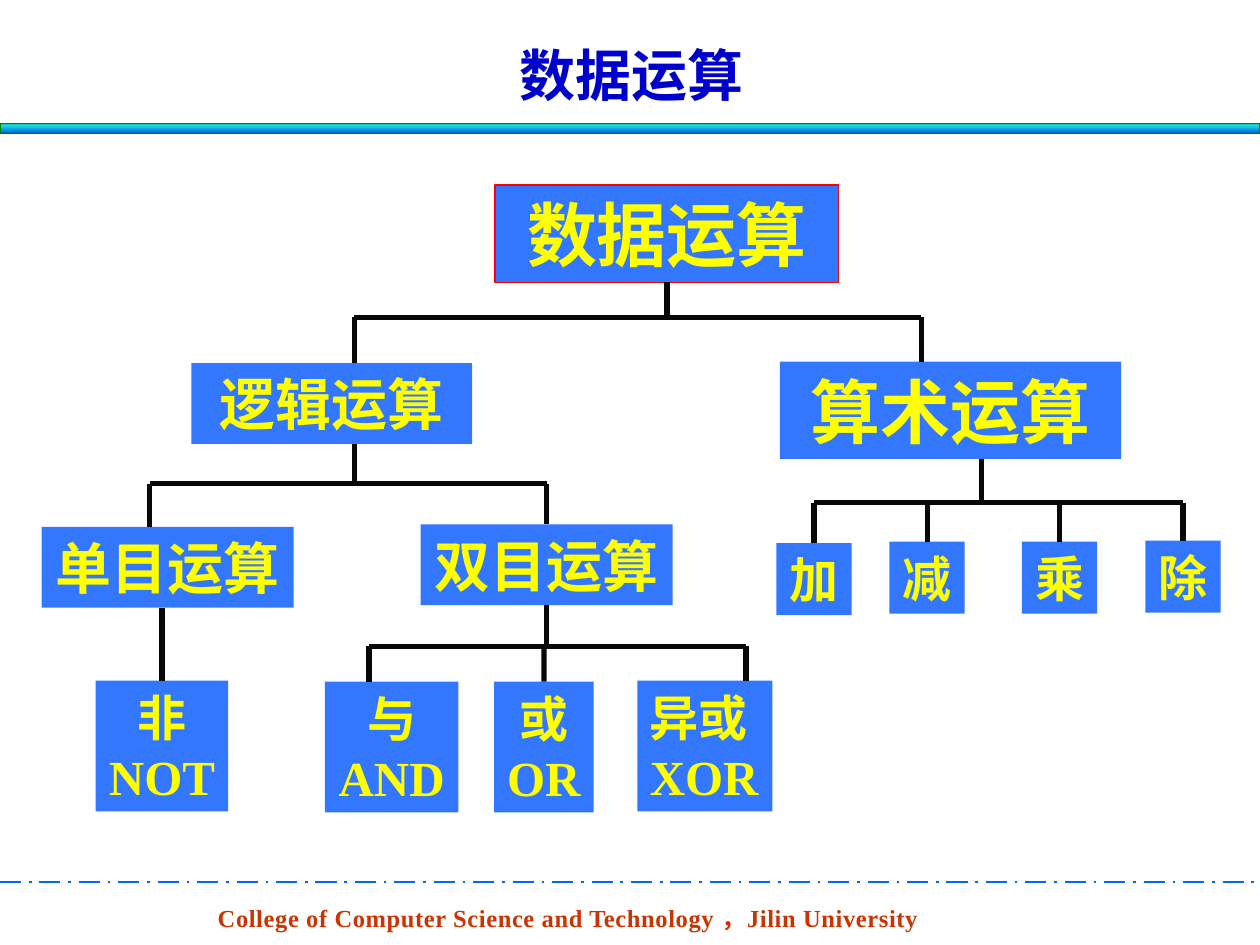
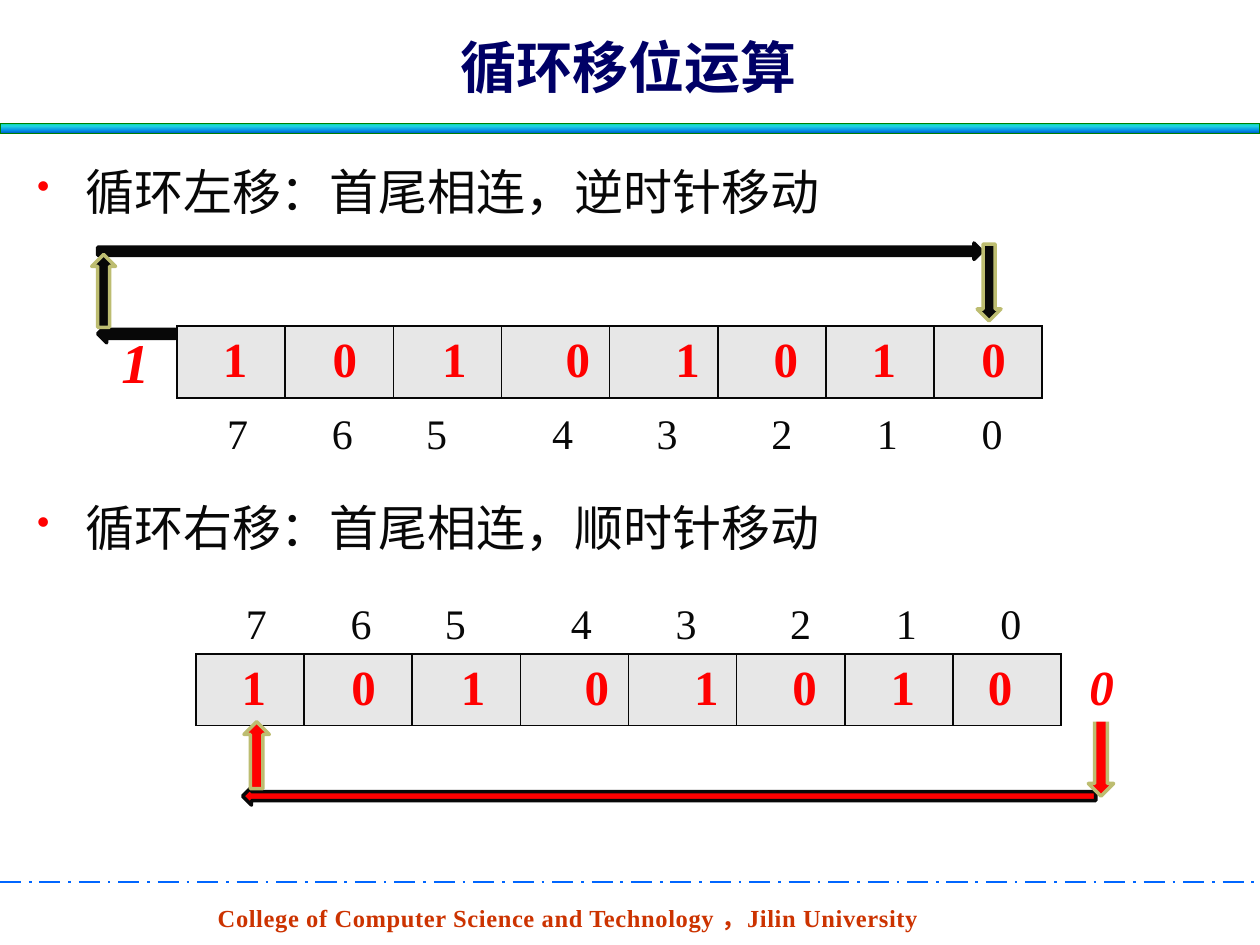
from collections import namedtuple
from dataclasses import dataclass

from lxml import etree
from pptx import Presentation
from pptx.dml.color import RGBColor
from pptx.enum.dml import MSO_LINE
from pptx.enum.shapes import MSO_CONNECTOR, MSO_SHAPE
from pptx.enum.text import MSO_ANCHOR, MSO_AUTO_SIZE, PP_ALIGN
from pptx.oxml.ns import qn
from pptx.util import Cm, Pt

LEFT, CENTER = PP_ALIGN.LEFT, PP_ALIGN.CENTER
TOP, MIDDLE = MSO_ANCHOR.TOP, MSO_ANCHOR.MIDDLE
RECT = MSO_SHAPE.RECTANGLE
ARROW_UP, ARROW_DOWN = MSO_SHAPE.UP_ARROW, MSO_SHAPE.DOWN_ARROW
ARROW_LEFT, ARROW_RIGHT = MSO_SHAPE.LEFT_ARROW, MSO_SHAPE.RIGHT_ARROW
STRAIGHT = MSO_CONNECTOR.STRAIGHT
DASH_DOT = MSO_LINE.LONG_DASH_DOT
SIDE_TOP, SIDE_BOTTOM = 0, 2
TITLE_ONLY = 5

Box = namedtuple("Box", "left top width height")
Node = namedtuple("Node", "shape box")


@dataclass(frozen=True)
class Theme:
    serif: str = "Times New Roman"
    sans: str = "Arial"
    cjk: str = "Noto Sans CJK SC"
    white: str = "FFFFFF"
    ink: str = "080808"
    red: str = "FF0000"
    yellow: str = "FFFF00"
    node: str = "3477FF"
    tree_title: str = "0000CC"
    shift_title: str = "000066"
    footer: str = "CC3300"
    rule: str = "0066FF"
    band_line: str = "008000"
    band_stops: tuple = ((0, "03D4A8"), (25, "21D6E0"), (75, "0087E6"), (100, "005CBF"))
    cell: str = "E7E7E7"
    cell_line: str = "060606"
    olive: str = "BDBD71"
    root_size: int = 40
    title_size: int = 32
    body_size: int = 28
    index_size: int = 24
    footer_size: int = 14


T = Theme()


def rgb(value):
    return RGBColor.from_string(value)


def within(box, left, top, width, height):
    return Box(box.left + left, box.top + top, width, height)


def place(box):
    return [Cm(v) for v in box]


def sub(parent, tag, **attrs):
    return etree.SubElement(parent, qn(tag), {k: str(v) for k, v in attrs.items()})


def write(tf, text, size=T.body_size, color=T.ink, font=T.serif, bold=False, italic=False,
          align=LEFT, anchor=TOP, wrap=True, line_spacing=None, tracking=None,
          bullet=None, tabs=()):
    tf.auto_size = MSO_AUTO_SIZE.NONE
    tf.word_wrap = wrap
    tf.vertical_anchor = anchor
    tf.margin_left = tf.margin_right = Cm(0.25)
    tf.margin_top = tf.margin_bottom = Cm(0.13)
    for i, line in enumerate(text.split("\n")):
        p = tf.add_paragraph() if i else tf.paragraphs[0]
        p.alignment = align
        pPr = p._p.get_or_add_pPr()
        if bullet:
            pPr.set("marL", str(Cm(0.97)))
            pPr.set("indent", str(Cm(-0.97)))
            sub(sub(pPr, "a:buClr"), "a:srgbClr", val=T.red)
            sub(pPr, "a:buSzPct", val=75000)
            sub(pPr, "a:buChar", char=bullet)
        if tabs:
            stops = sub(pPr, "a:tabLst")
            for stop in tabs:
                sub(stops, "a:tab", pos=Cm(stop), algn="ctr")
        if line_spacing:
            p.line_spacing = line_spacing
        r = p.add_run()
        r.text = line
        r.font.name = font
        r.font.size = Pt(size)
        r.font.bold = bold
        r.font.italic = italic
        r.font.color.rgb = rgb(color)
        rPr = r._r.get_or_add_rPr()
        sub(rPr, "a:ea", typeface=T.cjk)
        if tracking:
            rPr.set("spc", str(tracking))


def add_text(s, box, text, fill=None, **fmt):
    sp = s.shapes.add_textbox(*place(box))
    if fill:
        sp.fill.solid()
        sp.fill.fore_color.rgb = rgb(fill)
    write(sp.text_frame, text, **fmt)


def add_block(s, kind, box, fill, line=None, weight=2):
    sp = s.shapes.add_shape(kind, *place(box))
    sp.shadow.inherit = False
    sp.fill.solid()
    sp.fill.fore_color.rgb = rgb(fill)
    if line:
        sp.line.color.rgb = rgb(line)
        sp.line.width = Pt(weight)
    else:
        sp.line.fill.background()
    return sp


def add_line(s, x1, y1, x2, y2, color=T.ink, weight=3):
    c = s.shapes.add_connector(STRAIGHT, Cm(x1), Cm(y1), Cm(x2), Cm(y2))
    c.line.color.rgb = rgb(color)
    c.line.width = Pt(weight)
    sub(c._element.spPr, "a:effectLst")
    return c


def add_band(s, box):
    sp = add_block(s, RECT, box, T.node, T.band_line, 0.75)
    sp.fill.gradient()
    sp.fill.gradient_angle = 270
    stops = sp._element.spPr.find(".//" + qn("a:gsLst"))
    for stop in list(stops):
        stops.remove(stop)
    for pos, color in T.band_stops:
        sub(sub(stops, "a:gs", pos=pos * 1000), "a:srgbClr", val=color)


def add_base(prs, title, box, color, font):
    s = prs.slides.add_slide(prs.slide_layouts[TITLE_ONLY])
    add_text(s, Box(4.14, 18.08, 15.04, 0.84),
             "College of Computer Science and Technology ，Jilin University",
             size=T.footer_size, color=T.footer, bold=True, tracking=35)
    rule = add_line(s, 0, 17.78, 25.4, 17.78, T.rule, 1.5)
    rule.line.dash_style = DASH_DOT
    add_band(s, Box(0, 2.49, 25.4, 0.2))
    sp = s.shapes.title
    sp.left, sp.top, sp.width, sp.height = place(box)
    write(sp.text_frame, title, size=T.title_size, color=color, font=font,
          bold=True, align=CENTER, anchor=MIDDLE)
    return s


def add_node(s, box, text, size=T.body_size, line=None, align=CENTER):
    sp = add_block(s, RECT, box, T.node, line, 0.75)
    write(sp.text_frame, text, size=size, color=T.yellow, bold=True,
          align=align, anchor=MIDDLE, wrap=False)
    return Node(sp, box)


def middle(node):
    return node.box.left + node.box.width / 2


def add_trunk(s, parent, y, x=None):
    bottom = parent.box.top + parent.box.height
    start = middle(parent) if x is None else x
    c = add_line(s, start, bottom, start, y)
    if x is None:
        c.begin_connect(parent.shape, SIDE_BOTTOM)


def add_drop(s, child, y, x=None):
    end = middle(child) if x is None else x
    c = add_line(s, end, y, end, child.box.top)
    if x is None:
        c.end_connect(child.shape, SIDE_TOP)
    return end


def add_branch(s, parent, y, children, trunk_x=None):
    add_trunk(s, parent, y, trunk_x)
    ends = [add_drop(s, child, y, x) for child, x in children]
    add_line(s, min(ends), y, max(ends), y)


def add_tree(s, box):
    def node(left, top, width, height, text, **fmt):
        return add_node(s, within(box, left, top, width, height), text, **fmt)

    def x(value):
        return box.left + value

    def y(value):
        return box.top + value

    root = node(9.14, 0, 6.93, 1.96, "数据运算", size=T.root_size, line=T.red)
    arithmetic = node(14.88, 3.56, 6.88, 1.96, "算术运算", size=T.root_size)
    logic = node(3.02, 3.59, 5.66, 1.63, "逻辑运算", size=T.title_size)
    unary = node(0, 6.89, 5.08, 1.63, "单目运算", size=T.title_size)
    binary = node(7.64, 6.84, 5.08, 1.63, "双目运算", size=T.title_size)
    not_op = node(1.09, 9.99, 2.67, 2.64, "非\nNOT")
    and_op = node(5.71, 10.01, 2.69, 2.64, "与\nAND")
    or_op = node(9.12, 10.01, 2.01, 2.64, "或\nOR")
    xor_op = node(12.01, 9.99, 2.72, 2.64, "异或\nXOR", align=LEFT)
    operators = [node(left, top, 1.52, 1.45, text) for left, top, text in (
        (14.81, 7.22, "加"), (17.09, 7.19, "减"), (19.76, 7.19, "乘"), (22.25, 7.17, "除"))]

    add_branch(s, root, y(2.67), [(logic, x(6.3)), (arithmetic, x(17.73))])
    add_branch(s, logic, y(6.02), [(unary, x(2.18)), (binary, None)], x(6.3))
    add_branch(s, binary, y(9.3), [(and_op, x(6.6)), (or_op, None), (xor_op, x(14.2))])
    add_branch(s, arithmetic, y(6.4), [(op, None) for op in operators], x(18.95))
    add_drop(s, not_op, unary.box.top + unary.box.height)


def add_cells(s, box, count):
    frame = s.shapes.add_table(1, count, *place(box))
    table = frame.table
    table.first_row = table.horz_banding = False
    for column in table.columns:
        column.width = Cm(box.width / count)
    for cell in table.iter_cells():
        tcPr = cell._tc.get_or_add_tcPr()
        for side in ("a:lnL", "a:lnR", "a:lnT", "a:lnB"):
            ln = sub(tcPr, side, w=Pt(1))
            sub(sub(ln, "a:solidFill"), "a:srgbClr", val=T.cell_line)
        cell.fill.solid()
        cell.fill.fore_color.rgb = rgb(T.cell)


def add_digits(s, box, digits, stops, **fmt):
    add_text(s, box, "".join("\t" + d for d in digits), tabs=stops, line_spacing=0.8, **fmt)


def add_register(s, box, index_dy, last_stop):
    add_cells(s, box, 8)
    add_digits(s, within(box, 0.13, index_dy, 17.37, 1.07), "76543210",
               (0.84, 2.95, 4.85, 7.39, 9.5, 11.81, 13.94, 16.05), size=T.index_size)
    add_digits(s, within(box, -0.07, 0.15, 17.9, 1.22), "10101010",
               (0.99, 3.2, 5.41, 7.9, 10.11, 12.09, 14.07, last_stop),
               color=T.red, bold=True)


def add_shift(s, box, text, register, index_dy, last_stop, arrows, color, carry, carry_box, **fmt):
    add_text(s, within(box, 0, 0, box.width, 1.8), text, font=T.sans, bullet="•")
    add_register(s, within(box, *register, 17.44, 1.45), index_dy, last_stop)
    for kind, place_in in arrows:
        line = T.olive if kind in (ARROW_UP, ARROW_DOWN) else T.ink
        add_block(s, kind, within(box, *place_in), color, line)
    add_text(s, within(box, *carry_box), carry, color=T.red, bold=True, italic=True, **fmt)


def tree_slide(prs):
    s = add_base(prs, "数据运算", Box(1.93, 0.71, 21.59, 1.57), T.tree_title, T.sans)
    add_tree(s, Box(0.84, 3.73, 23.77, 12.65))


def shift_slide(prs):
    s = add_base(prs, "循环移位运算", Box(6.58, 0.51, 12.19, 1.63), T.shift_title, T.serif)
    add_shift(s, Box(0.5, 3.12, 23.37, 6.3), "循环左移：首尾相连，逆时针移动",
              (3.07, 3.45), 1.71, 16.28,
              [(ARROW_LEFT, (1.47, 3.43, 1.57, 0.36)),
               (ARROW_RIGHT, (1.47, 1.78, 17.83, 0.33)),
               (ARROW_DOWN, (19.2, 1.8, 0.48, 1.55)),
               (ARROW_UP, (1.35, 2.01, 0.48, 1.47))],
              T.ink, "1", (1.7, 3.35, 1.09, 1.63), size=T.title_size, wrap=False)
    add_shift(s, Box(0.5, 9.9, 23.37, 6.4), "循环右移：首尾相连，顺时针移动",
              (3.45, 3.28), -1.07, 16.03,
              [(ARROW_LEFT, (4.39, 5.97, 17.2, 0.36)),
               (ARROW_DOWN, (21.44, 4.52, 0.51, 1.63)),
               (ARROW_UP, (4.42, 4.65, 0.51, 1.35))],
              T.red, "0", (21.21, 3.2, 1.4, 1.45), fill=T.white)


def main():
    prs = Presentation()
    prs.slide_width, prs.slide_height = Cm(25.4), Cm(19.05)
    tree_slide(prs)
    shift_slide(prs)
    prs.save("out.pptx")


if __name__ == "__main__":
    main()
